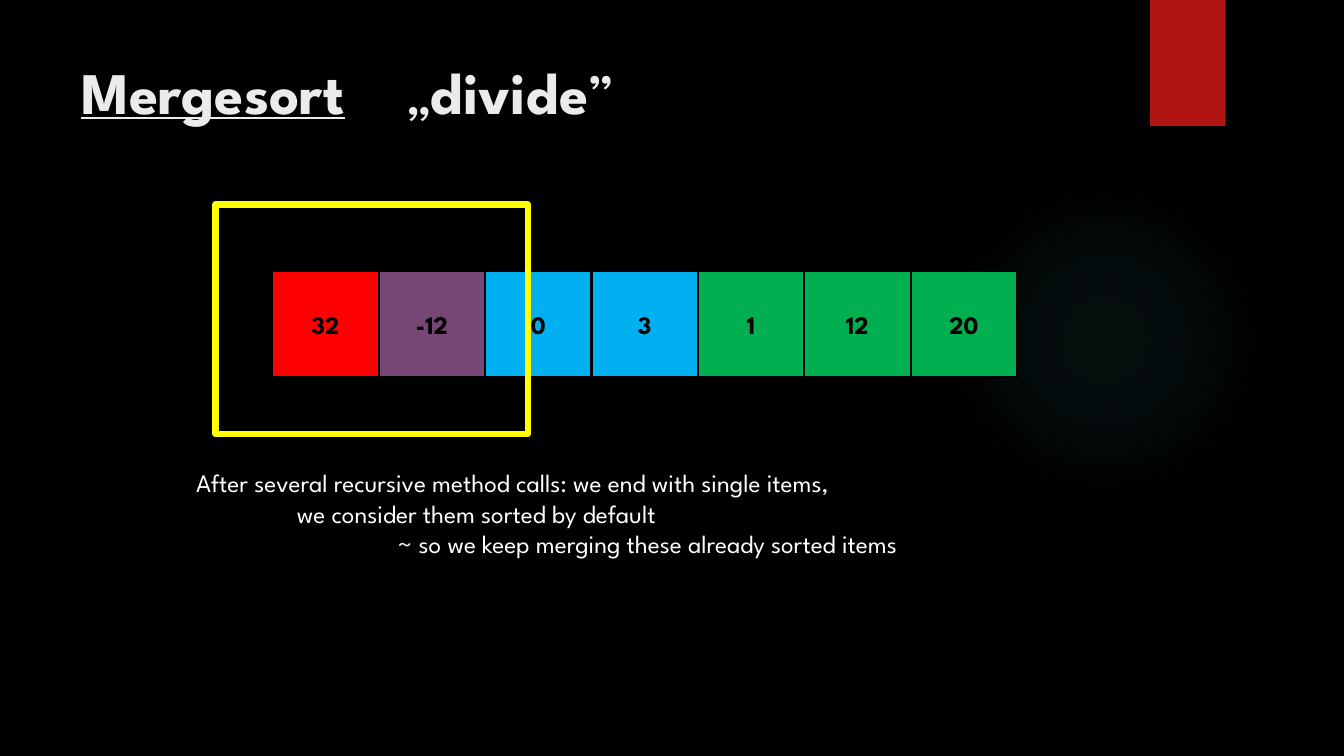
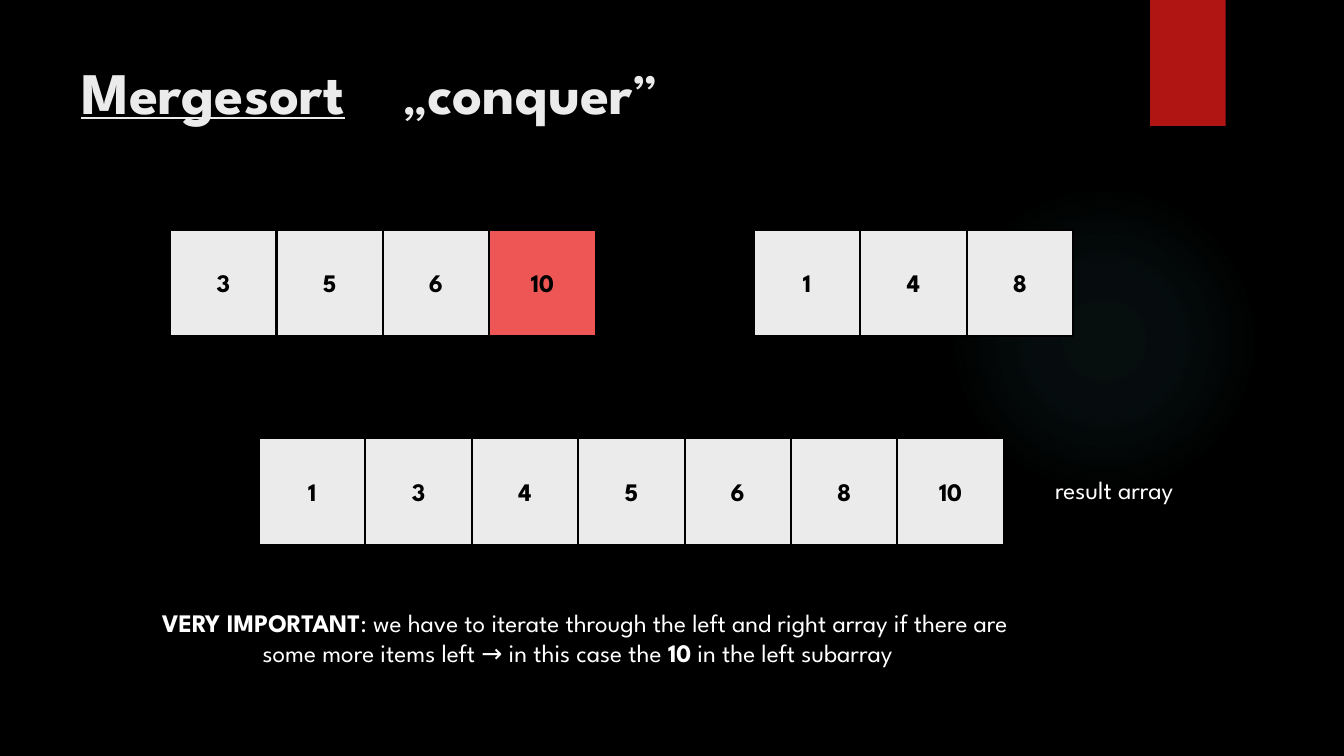
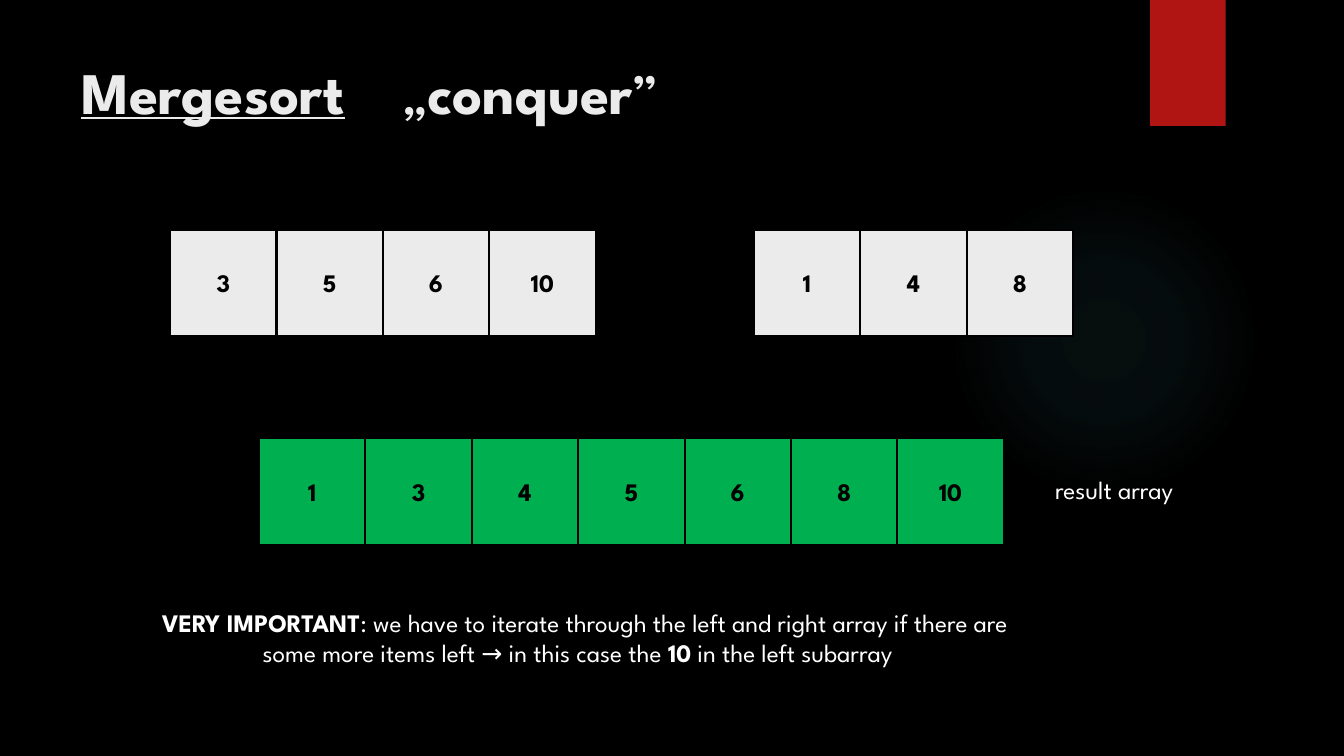
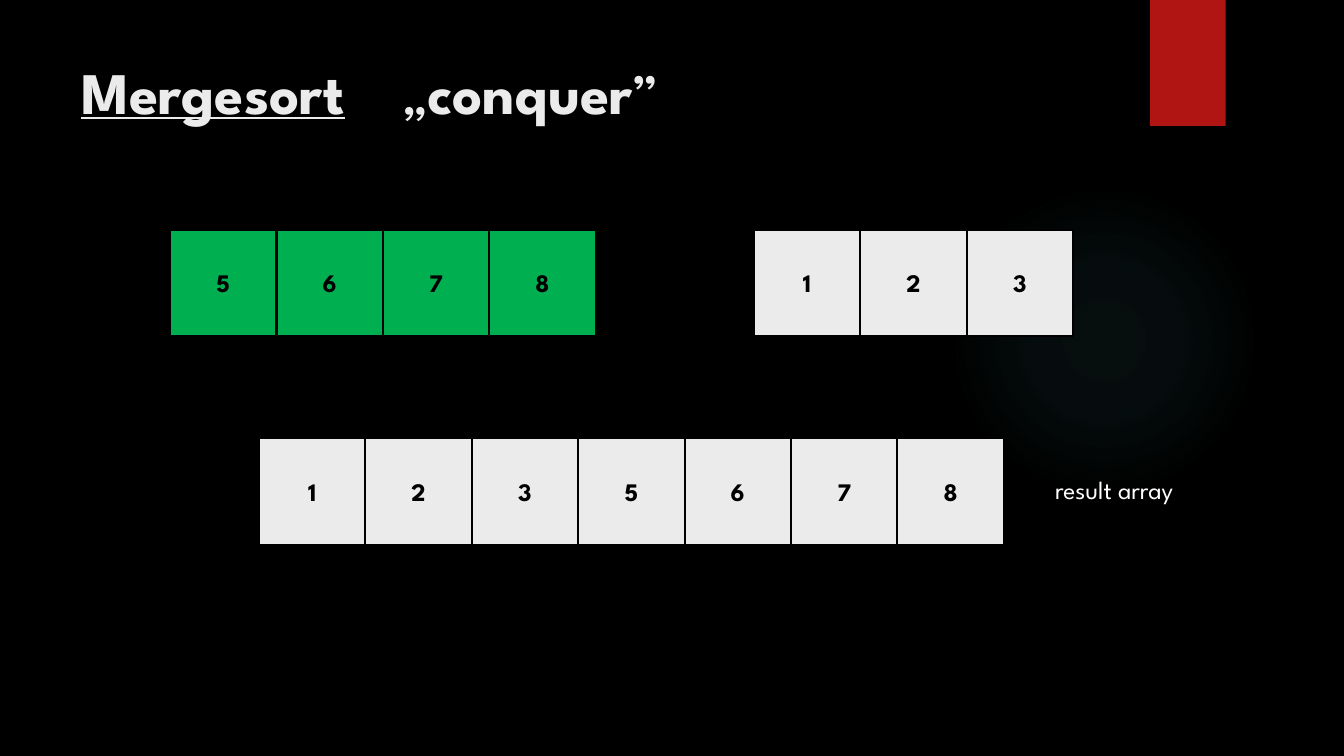
from dataclasses import dataclass, field
from typing import Any, NamedTuple

from pptx import Presentation
from pptx.dml.color import RGBColor
from pptx.enum.shapes import MSO_SHAPE
from pptx.enum.text import MSO_ANCHOR, MSO_AUTO_SIZE, PP_ALIGN
from pptx.oxml import parse_xml
from pptx.oxml.ns import nsdecls
from pptx.util import Emu, Pt

RECTANGLE, OVAL = MSO_SHAPE.RECTANGLE, MSO_SHAPE.OVAL
CENTER, MIDDLE = PP_ALIGN.CENTER, MSO_ANCHOR.MIDDLE
FIT_SHAPE = MSO_AUTO_SIZE.SHAPE_TO_FIT_TEXT

EMU_PER_PX = 6350  # 144 px to the inch
SLIDE_WIDTH, SLIDE_HEIGHT = 1920, 1080
CELL_SIZE = 152
INDENT = 144
FONT = "League Spartan"
COLORS = {
    "black": "000000",
    "white": "FFFFFF",
    "gray": "EBEBEB",
    "band": "B01513",
    "glow": "50B9C1",
    "red": "FF0000",
    "purple": "764674",
    "blue": "00B0F0",
    "green": "00B050",
    "coral": "ED5654",
    "yellow": "FFFF00",
}
GLOW_STOPS = ((0, 7), (36, 6), (69, 0))  # position and opacity, percent


class Box(NamedTuple):
    left: int
    top: int
    width: int
    height: int


class Run(NamedTuple):
    text: str
    bold: bool = False
    underline: bool = False


@dataclass
class Line:
    runs: list[Run]
    level: int = 0


@dataclass
class Array:
    left: int
    top: int
    values: list[int]
    fills: list[str]


@dataclass
class TextBlock:
    box: Box
    lines: list[Line]


@dataclass
class SlideContent:
    phase: str
    phase_offset: int
    arrays: list[Array]
    texts: list[TextBlock]
    frames: list[Box] = field(default_factory=list)


GLOW = Box(1355, 264, 444, 444)
BAND = Box(1643, 0, 108, 180)
TITLE = Box(102, 72, 1482, 220)

RESULT_LABEL = TextBlock(Box(1493, 670, 220, 58), [Line([Run("result array")])])
LEFTOVER_NOTE = TextBlock(Box(217, 860, 1439, 102), [
    Line([
        Run("VERY IMPORTANT", bold=True),
        Run(": we have to iterate through the left and right array if there are"),
    ]),
    Line([
        Run("some more items left → in this case the "),
        Run("10", bold=True),
        Run(" in the left subarray"),
    ], level=1),
])
RECURSION_NOTE = TextBlock(Box(266, 661, 1195, 145), [
    Line([Run("After several recursive method calls: we end with single items,")]),
    Line([Run("we consider them sorted by default")], level=1),
    Line([Run("~ so we keep merging these already sorted items")], level=2),
])


def px(length: int) -> Emu:
    return Emu(length * EMU_PER_PX)


def color(name: str) -> RGBColor:
    return RGBColor.from_string(COLORS[name])


def set_format(target: Any, values: dict[str, Any]) -> None:
    for name, value in values.items():
        setattr(target, name, value)


def add_block(slide: Any, kind: Any, box: Box, fill: str | None = None,
              line: str | None = None, line_width: float = 1.5) -> Any:
    """Add a flat preset shape; without a colour, fill or line is left out."""
    shape = slide.shapes.add_shape(kind, *map(px, box))
    shape.shadow.inherit = False
    if fill:
        shape.fill.solid()
        shape.fill.fore_color.rgb = color(fill)
    else:
        shape.fill.background()
    if line:
        shape.line.color.rgb = color(line)
        shape.line.width = Pt(line_width)
    else:
        shape.line.fill.background()
    return shape


def add_run(paragraph: Any, run: Run, size: int, color_name: str) -> None:
    text_run = paragraph.add_run()
    text_run.text = run.text
    set_format(text_run.font, {
        "name": FONT, "size": Pt(size), "bold": run.bold, "underline": run.underline,
    })
    text_run.font.color.rgb = color(color_name)


def add_glow(slide: Any) -> None:
    glow = add_block(slide, OVAL, GLOW)
    stops = "".join(
        f'<a:gs pos="{position * 1000}"><a:srgbClr val="{COLORS["glow"]}">'
        f'<a:alpha val="{opacity * 1000}"/></a:srgbClr></a:gs>'
        for position, opacity in GLOW_STOPS
    )
    gradient = parse_xml(
        f'<a:gradFill {nsdecls("a")} rotWithShape="1"><a:gsLst>{stops}</a:gsLst>'
        '<a:path path="circle"><a:fillToRect l="50000" t="50000" r="50000" b="50000"/>'
        '</a:path></a:gradFill>'
    )
    properties = glow.element.spPr
    properties.replace(properties.find("{*}noFill"), gradient)


def add_band(slide: Any) -> None:
    band = add_block(slide, RECTANGLE, BAND, "band")
    band.element.spPr.find("{*}effectLst").append(parse_xml(
        f'<a:outerShdw {nsdecls("a")} blurRad="{Pt(3)}" dist="{Pt(2)}" dir="5400000">'
        f'<a:srgbClr val="{COLORS["black"]}"><a:alpha val="45000"/></a:srgbClr>'
        '</a:outerShdw>'
    ))


def add_title(slide: Any, phase: str, phase_offset: int) -> None:
    """Write the title, with the phase name at a tab stop."""
    frame = slide.shapes.add_textbox(*map(px, TITLE)).text_frame
    frame.word_wrap = True
    paragraph = frame.paragraphs[0]
    paragraph._p.get_or_add_pPr().append(parse_xml(
        f'<a:tabLst {nsdecls("a")}><a:tab pos="{px(phase_offset)}" algn="l"/></a:tabLst>'
    ))
    for run in (Run("Mergesort", bold=True, underline=True), Run("\t„"),
                Run(phase, bold=True), Run("”")):
        add_run(paragraph, run, 42, "gray")


def add_array(slide: Any, array: Array) -> None:
    for index, (value, fill) in enumerate(zip(array.values, array.fills)):
        box = Box(array.left + index * CELL_SIZE, array.top, CELL_SIZE, CELL_SIZE)
        cell = add_block(slide, RECTANGLE, box, fill, "black")
        cell.text_frame.vertical_anchor = MIDDLE
        paragraph = cell.text_frame.paragraphs[0]
        paragraph.alignment = CENTER
        add_run(paragraph, Run(str(value), bold=True), 18, "black")


def add_text(slide: Any, block: TextBlock) -> None:
    frame = slide.shapes.add_textbox(*map(px, block.box)).text_frame
    set_format(frame, {"word_wrap": False, "auto_size": FIT_SHAPE})
    for index, line in enumerate(block.lines):
        paragraph = frame.add_paragraph() if index else frame.paragraphs[0]
        if line.level:
            paragraph._p.get_or_add_pPr().set("marL", str(px(line.level * INDENT)))
        for run in line.runs:
            add_run(paragraph, run, 18, "white")


def conquer(left: list[int], right: list[int], texts: list[TextBlock],
            left_fills: list[str], result_fill: str = "gray") -> SlideContent:
    """Lay out two sorted arrays above the array they merge into."""
    result = sorted(left + right)
    return SlideContent("conquer", 459, [
        Array(243, 328, left, left_fills),
        Array(1077, 328, right, ["gray"] * len(right)),
        Array(370, 626, result, [result_fill] * len(result)),
    ], texts)


SLIDES = [
    SlideContent(
        "divide", 464,
        [Array(389, 387, [32, -12, 0, 3, 1, 12, 20],
               ["red", "purple"] + ["blue"] * 2 + ["green"] * 3)],
        [RECURSION_NOTE],
        [Box(308, 292, 446, 328)],
    ),
    conquer([3, 5, 6, 10], [1, 4, 8], [RESULT_LABEL, LEFTOVER_NOTE],
            ["gray"] * 3 + ["coral"]),
    conquer([3, 5, 6, 10], [1, 4, 8], [RESULT_LABEL, LEFTOVER_NOTE],
            ["gray"] * 4, "green"),
    conquer([5, 6, 7, 8], [1, 2, 3], [RESULT_LABEL], ["green"] * 4),
]


def add_slide(presentation: Any, content: SlideContent) -> None:
    slide = presentation.slides.add_slide(presentation.slide_layouts[6])
    add_glow(slide)
    add_band(slide)
    add_title(slide, content.phase, content.phase_offset)
    for array in content.arrays:
        add_array(slide, array)
    for block in content.texts:
        add_text(slide, block)
    for box in content.frames:
        add_block(slide, RECTANGLE, box, line="yellow", line_width=4.5)


def main() -> None:
    presentation = Presentation()
    set_format(presentation, {
        "slide_width": px(SLIDE_WIDTH), "slide_height": px(SLIDE_HEIGHT),
    })
    background = presentation.slide_master.background.fill
    background.solid()
    background.fore_color.rgb = color("black")
    for content in SLIDES:
        add_slide(presentation, content)
    presentation.save("out.pptx")


if __name__ == "__main__":
    main()
